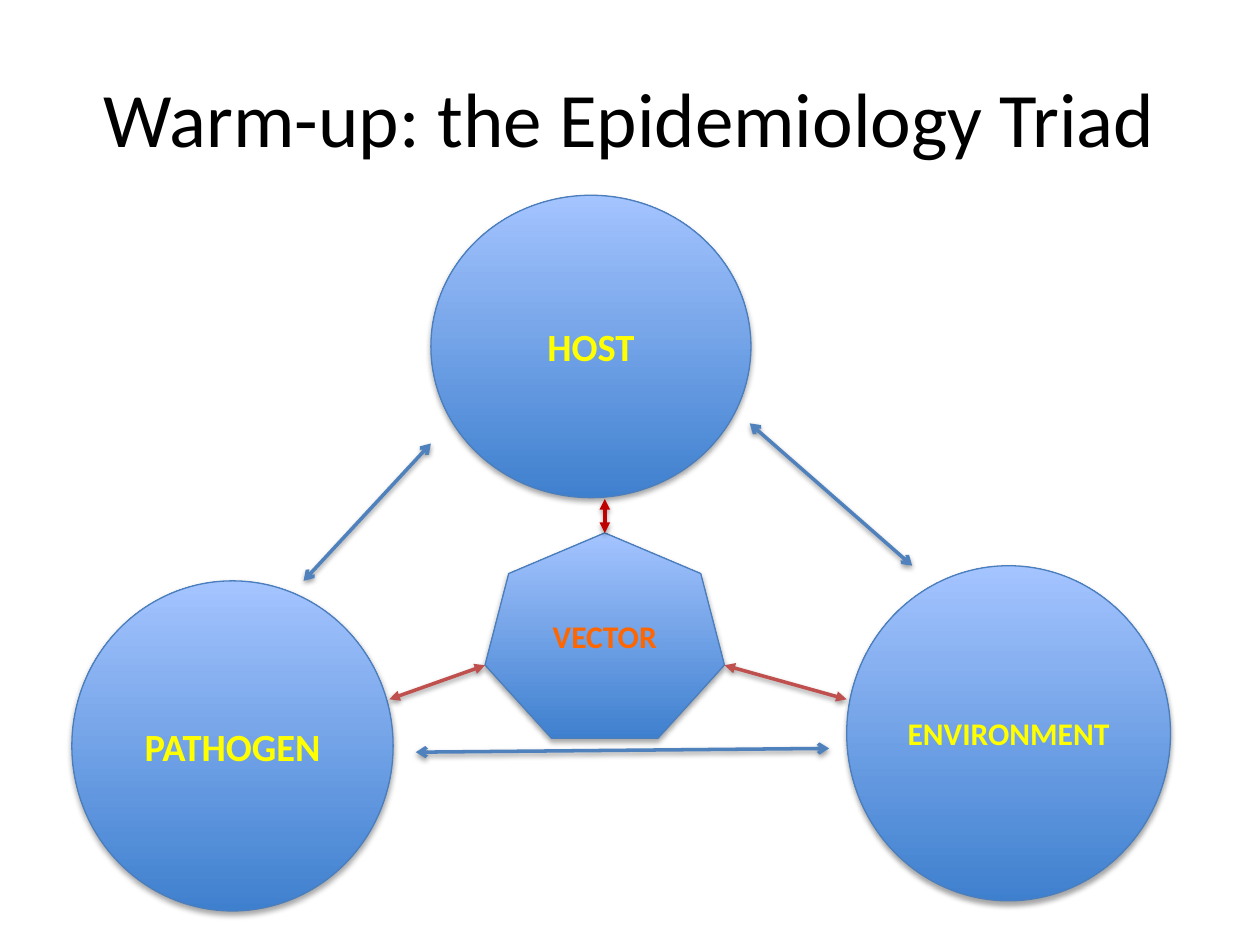
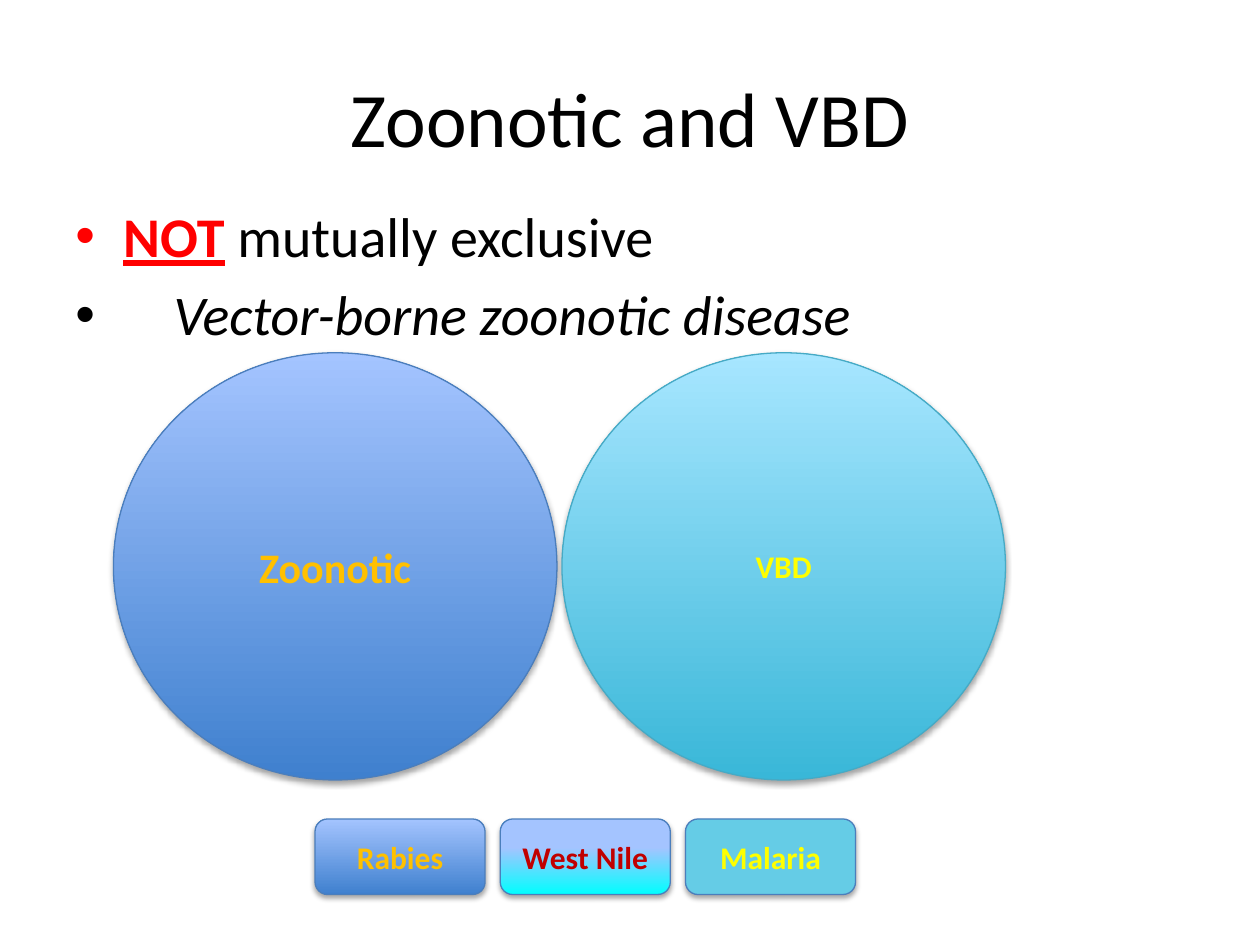
from pptx import Presentation
from pptx import util as u
from pptx.dml.color import RGBColor
from pptx.enum import shapes, text
from pptx.oxml import ns
from lxml import etree


class Theme:
    face = "Calibri"
    black, red, yellow, gold = "000000", "FF0000", "FFFF00", "FFC000"
    orange, crimson = "FF6600", "C00000"
    link, rust = "4F81BD", "C0504D"
    edge, rim = "4B7EBC", "46AAC5"
    # Fills: a list of (position, colour) stops from the bottom up, or a flat colour
    blue = [(0, "3F80CE"), (1, "A4C4FF")]
    aqua = [(0, "39B7D8"), (1, "A7E6FF")]
    blend = [(0, "00FFFF"), (0.62, "A4C4FF")]
    teal = "65CCE6"
    title, body, large, mid, small = 44, 32, 24, 22, 18


T = Theme
KIND = shapes.MSO_SHAPE

# Slide 1: nodes (label, kind, box, size, colour) and links (from, to)
TRIAD = "Warm-up: the Epidemiology Triad"
NODES = [
    ("HOST", KIND.OVAL, (3.42, 1.55, 2.54, 2.4), T.mid, T.yellow),
    ("ENVIRONMENT", KIND.OVAL, (6.72, 4.49, 2.57, 2.66), T.small, T.yellow),
    ("PATHOGEN", KIND.OVAL, (0.57, 4.61, 2.55, 2.62), T.mid, T.yellow),
    ("VECTOR", KIND.HEPTAGON, (3.85, 4.23, 1.9, 1.63), T.small, T.orange),
]
LINKS = [
    ((2.41, 4.61), (3.42, 3.52), T.link, "arrow"),
    ((5.95, 3.36), (7.24, 4.49), T.link, "arrow"),
    ((3.3, 5.97), (6.58, 5.94), T.link, "arrow"),
    ((4.8, 4.23), (4.8, 3.96), T.crimson, "triangle"),
    ((3.85, 5.28), (3.09, 5.55), T.rust, "triangle"),
    ((5.75, 5.28), (6.72, 5.55), T.rust, "triangle"),
]

# Slide 2: bullets (text indent, runs), circles and example cards
OVERLAP = "Zoonotic and VBD"
BULLETS = [
    (0.38, [("NOT", dict(color=T.red, bold=True, line=True)),
            (" mutually exclusive", {})]),
    (0.78, [("Vector-borne zoonotic disease", dict(italic=True))]),
]
DISCS = [
    ("Zoonotic", T.blue, T.edge, T.large, T.gold),
    ("VBD", T.aqua, T.rim, T.small, T.yellow),
]
CARDS = [
    ("Rabies", T.blue, T.gold),
    ("West Nile", T.blend, T.crimson),
    ("Malaria", T.teal, T.yellow),
]


def rgb(code):
    return RGBColor.from_string(code)


def add(parent, tag, **attrs):
    """Append a drawing element with its attributes."""
    node = etree.SubElement(parent, ns.qn("a:" + tag))
    for key, val in attrs.items():
        node.set(key, str(val))
    return node


def write(para, words, size=T.body, color=T.black, bold=False,
          italic=False, line=False, align=None):
    """Add one formatted run to a paragraph."""
    run = para.add_run()
    run.text = words
    font = run.font
    font.name, font.size, font.color.rgb = T.face, u.Pt(size), rgb(color)
    font.bold, font.italic, font.underline = bold, italic, line
    if align is not None:
        para.alignment = align


def shade(item, alpha, dist):
    """Drop a soft shadow; call after fill and line are set."""
    effects = add(item._element.spPr, "effectLst")
    drop = add(effects, "outerShdw", blurRad=u.Pt(3.1), dist=u.Pt(dist),
               dir=5400000, rotWithShape=0)
    add(add(drop, "srgbClr", val=T.black), "alpha", val=alpha * 1000)


def node(slide, label, kind, box, size, color, fill=T.blue, edge=T.edge):
    item = slide.shapes.add_shape(kind, *map(u.Inches, box))
    if isinstance(fill, str):
        item.fill.solid()
        item.fill.fore_color.rgb = rgb(fill)
    else:
        item.fill.gradient()
        item.fill.gradient_angle = 90
        for stop, (pos, code) in zip(item.fill.gradient_stops, fill):
            stop.position, stop.color.rgb = pos, rgb(code)
    item.line.color.rgb, item.line.width = rgb(edge), u.Pt(0.75)
    shade(item, 35, 1.8)
    frame = item.text_frame
    frame.word_wrap = False
    frame.vertical_anchor = text.MSO_ANCHOR.MIDDLE
    write(frame.paragraphs[0], label, size=size, color=color, bold=True,
          align=text.PP_ALIGN.CENTER)


def link(slide, start, end, color, head):
    item = slide.shapes.add_connector(
        shapes.MSO_CONNECTOR.STRAIGHT, *map(u.Inches, start + end))
    item.line.color.rgb, item.line.width = rgb(color), u.Pt(2)
    line = item._element.spPr.find(ns.qn("a:ln"))
    for tag in ("headEnd", "tailEnd"):
        add(line, tag, type=head)
    shade(item, 38, 1.6)


def start(deck, words):
    """Add a slide with the shared title style."""
    slide = deck.slides.add_slide(deck.slide_layouts[5])
    head = slide.shapes.title
    head.left, head.top, head.width, head.height = map(
        u.Inches, (0.5, 0.3, 9, 1.25))
    head.text_frame.vertical_anchor = text.MSO_ANCHOR.MIDDLE
    write(head.text_frame.paragraphs[0], words, size=T.title,
          align=text.PP_ALIGN.CENTER)
    return slide


def list_out(slide):
    box = slide.shapes.add_textbox(*map(u.Inches, (0.5, 1.55, 9, 4.95)))
    frame = box.text_frame
    frame.word_wrap = True
    for i, (indent, runs) in enumerate(BULLETS):
        para = frame.paragraphs[0] if i == 0 else frame.add_paragraph()
        if i:
            para.space_before = u.Pt(6.4)
        props = para._p.get_or_add_pPr()
        props.set("marL", str(u.Inches(indent)))
        props.set("indent", str(-u.Inches(indent)))
        tint = runs[0][1].get("color", T.black)
        add(add(props, "buClr"), "srgbClr", val=tint)
        add(props, "buFont", typeface="Arial")
        add(props, "buChar", char="•")
        for words, style in runs:
            write(para, words, **style)


def main():
    deck = Presentation()
    deck.slide_width, deck.slide_height = u.Inches(10), u.Inches(7.5)

    # Triad diagram
    slide = start(deck, TRIAD)
    for item in NODES:
        node(slide, *item)
    for item in LINKS:
        link(slide, *item)

    # Two disease groups with examples
    slide = start(deck, OVERLAP)
    list_out(slide)
    for i, (label, fill, edge, size, color) in enumerate(DISCS):
        node(slide, label, KIND.OVAL, (0.9 + 3.56 * i, 2.8, 3.52, 3.39),
             size, color, fill=fill, edge=edge)
    for i, (label, fill, color) in enumerate(CARDS):
        node(slide, label, KIND.ROUNDED_RECTANGLE,
             (2.5 + 1.47 * i, 6.5, 1.35, 0.6), T.small, color, fill=fill)

    deck.save("out.pptx")


if __name__ == "__main__":
    main()
